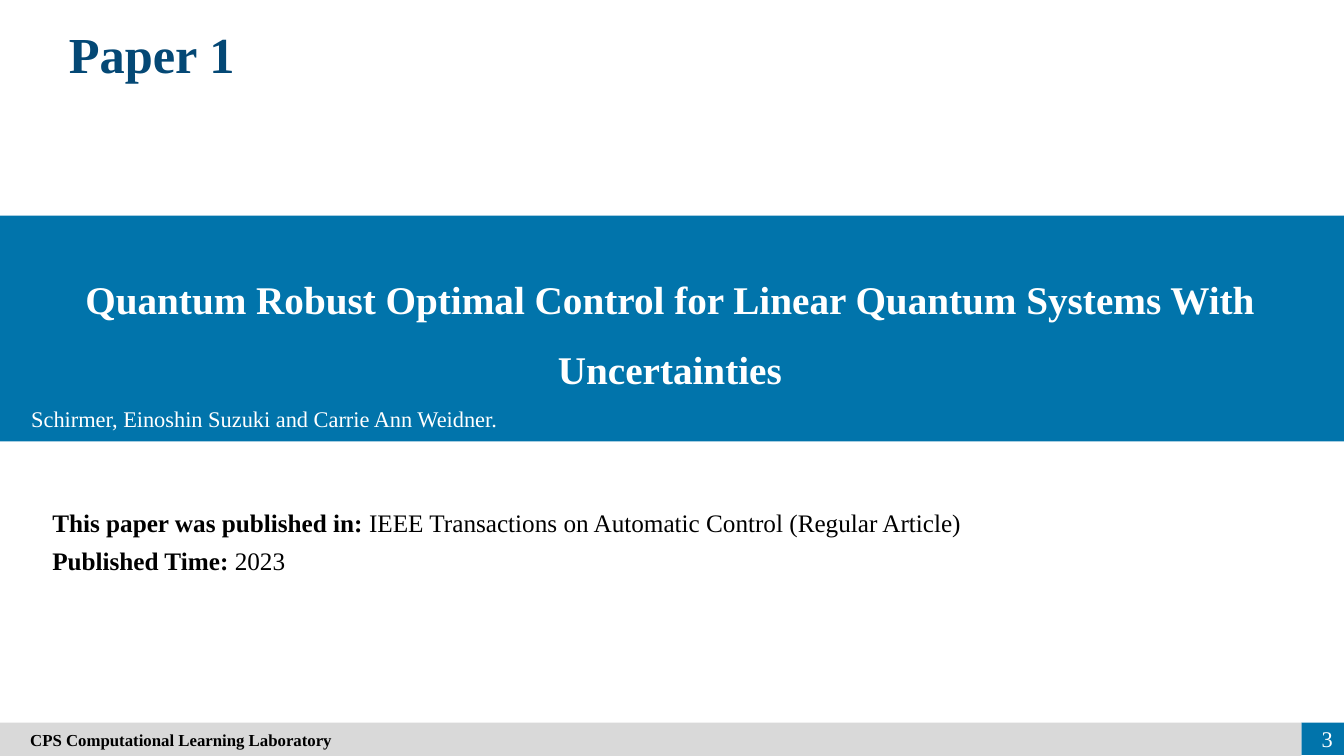
from dataclasses import dataclass

from pptx import Presentation
from pptx.dml.color import RGBColor
from pptx.enum.shapes import MSO_SHAPE as Shape
from pptx.enum.text import MSO_ANCHOR as Anchor, PP_ALIGN as Align
from pptx.util import Inches, Pt

FONT = "Times New Roman"
COLORS = {
    "blue": "0174AB",
    "navy": "044875",
    "grey": "D9D9D9",
    "white": "FFFFFF",
    "black": "000000",
}


@dataclass(frozen=True)
class Area:
    """Left, top, width and height in percent of the slide."""
    left: float
    top: float
    width: float
    height: float


@dataclass(frozen=True)
class Panel:
    area: Area
    color: str


@dataclass(frozen=True)
class Label:
    area: Area
    lines: list[tuple[str, str]]  # bold part, regular part
    size: int
    color: str
    align: Align = Align.LEFT
    anchor: Anchor = Anchor.TOP
    spacing: float = 1.0
    after: int = 0
    inset: float = 0.1


PANELS = [
    Panel(Area(0, 28.53, 100, 29.87), "blue"),       # title band
    Panel(Area(96.83, 95.6, 3.17, 4.27), "blue"),    # page number
    Panel(Area(0, 95.6, 96.83, 4.4), "grey"),        # footer
]

LABELS = [
    # Heading
    Label(Area(2.85, 2.4, 16.88, 9.47), [("Paper 1", "")], 36, "navy",
          Align.CENTER),
    # Paper title and authors
    Label(Area(3.38, 33.07, 92.93, 19.07),
          [("Quantum Robust Optimal Control for Linear Quantum Systems "
            "With Uncertainties", "")],
          28, "white", Align.CENTER, Anchor.MIDDLE, spacing=1.5),
    Label(Area(1.58, 52.93, 88.65, 4.93),
          [("", "Schirmer, Einoshin Suzuki and Carrie Ann Weidner.")],
          16, "white"),
    # Publication details
    Label(Area(3.15, 66.4, 91.95, 10.53),
          [("This paper was published in:",
            " IEEE Transactions on Automatic Control (Regular Article)"),
           ("Published Time:", " 2023")],
          18, "black", Align.JUSTIFY, after=6),
    # Footer
    Label(Area(0, 95.6, 96.83, 4.4),
          [("CPS Computational Learning Laboratory", "")],
          12, "black", anchor=Anchor.MIDDLE, inset=0.3),
    Label(Area(95.18, 95.27, 4.73, 4.73), [("", "3")], 16, "white",
          Align.RIGHT, Anchor.MIDDLE),
]

prs = Presentation()
prs.slide_width, prs.slide_height = Inches(13.33), Inches(7.5)
s = prs.slides.add_slide(prs.slide_layouts[6])


def rgb(name: str) -> RGBColor:
    return RGBColor.from_string(COLORS[name])


def place(area: Area) -> tuple[int, int, int, int]:
    w, h = prs.slide_width / 100, prs.slide_height / 100
    return (round(area.left * w), round(area.top * h),
            round(area.width * w), round(area.height * h))


def draw_panel(panel: Panel) -> None:
    sp = s.shapes.add_shape(Shape.RECTANGLE, *place(panel.area))
    sp.shadow.inherit = False
    sp.fill.solid()
    sp.fill.fore_color.rgb = rgb(panel.color)
    sp.line.fill.background()


def draw_label(label: Label) -> None:
    tf = s.shapes.add_textbox(*place(label.area)).text_frame
    tf.word_wrap = True
    tf.vertical_anchor = label.anchor
    tf.margin_left = Inches(label.inset)
    for i, (strong, plain) in enumerate(label.lines):
        p = tf.add_paragraph() if i else tf.paragraphs[0]
        p.alignment = label.align
        p.line_spacing = label.spacing
        p.space_after = Pt(label.after)
        p.font.name = FONT
        p.font.size = Pt(label.size)
        p.font.color.rgb = rgb(label.color)
        for text, bold in ((strong, True), (plain, False)):
            if text:
                r = p.add_run()
                r.text = text
                r.font.bold = bold


for panel in PANELS:
    draw_panel(panel)
for label in LABELS:
    draw_label(label)

prs.save("out.pptx")
